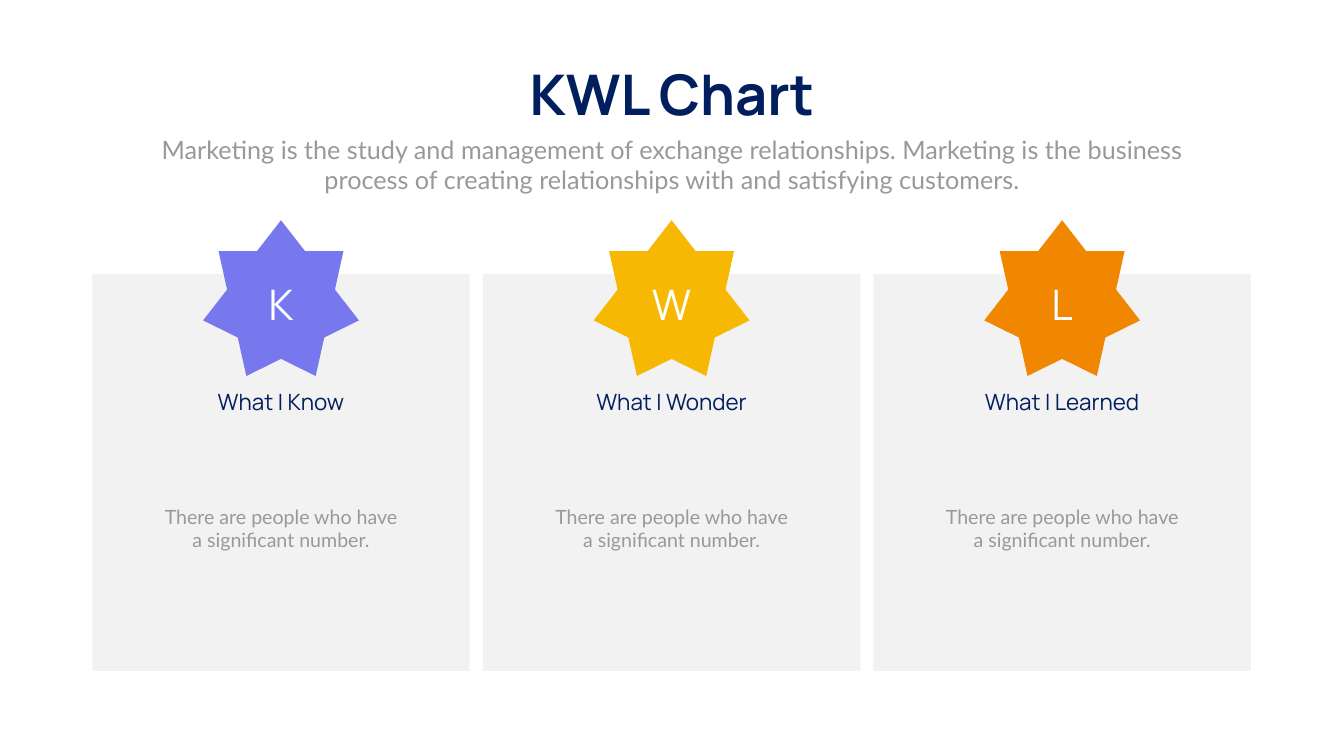
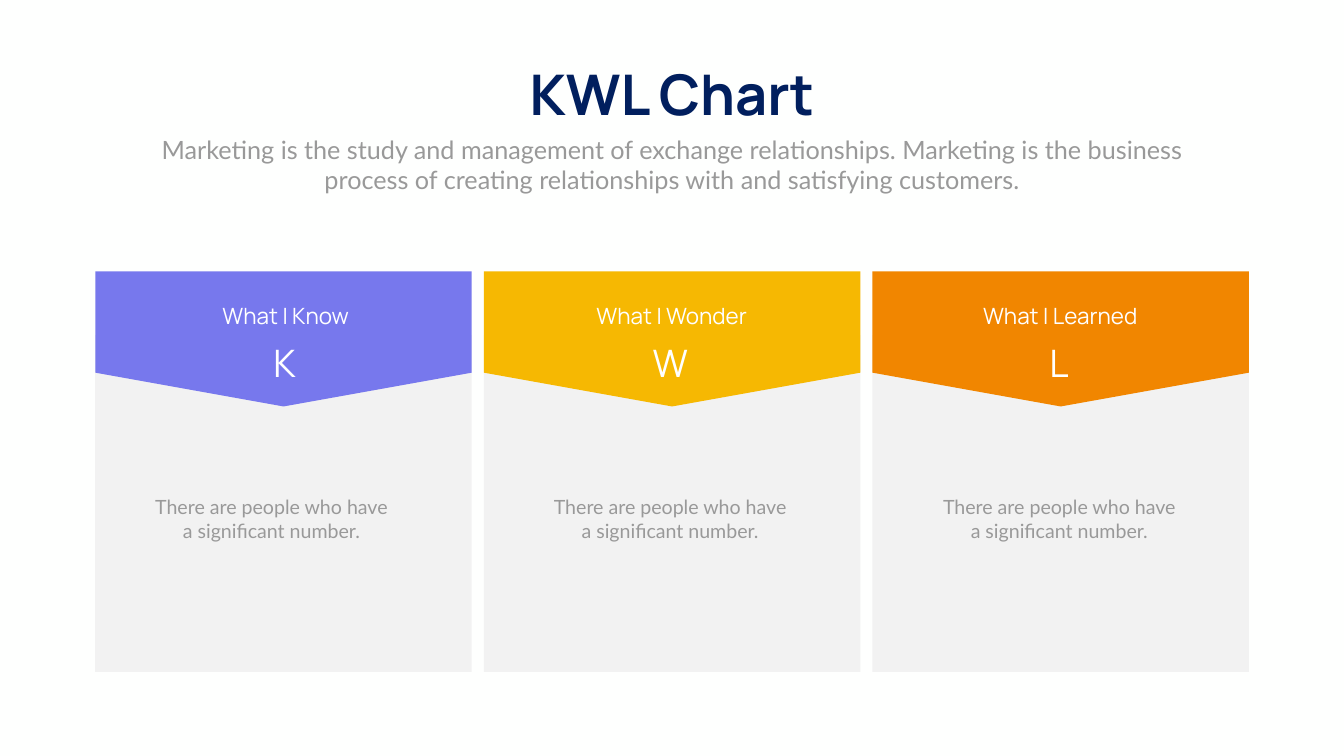
from dataclasses import dataclass

from pptx import Presentation
from pptx.dml.color import RGBColor as Rgb
from pptx.enum.shapes import MSO_SHAPE as Kind
from pptx.enum.text import MSO_ANCHOR as Anchor, PP_ALIGN as Align
from pptx.shapes.autoshape import Shape
from pptx.slide import Slide
from pptx.util import Cm, Pt

# Shared colours and fonts
NAVY = Rgb(0x01, 0x1F, 0x5E)
GREY = Rgb(0x99, 0x99, 0x99)
PALE = Rgb(0xF2, 0xF2, 0xF2)
PAPER = Rgb(0xFE, 0xFF, 0xFE)
WHITE = Rgb(0xFF, 0xFF, 0xFF)
VIOLET = Rgb(0x77, 0x78, 0xED)
YELLOW = Rgb(0xF6, 0xB8, 0x02)
ORANGE = Rgb(0xF1, 0x86, 0x00)
HEAD, BODY = "Manrope", "Lato"

WIDTH, HEIGHT = 67.72, 38.1
TITLE = "KWL Chart"
INTRO = ("Marketing is the study and management of exchange relationships. "
         "Marketing is the business process of creating relationships "
         "with and satisfying customers.")
NOTE = "There are people who have a significant number."


@dataclass(frozen=True)
class Topic:
    letter: str
    label: str
    color: Rgb
    width: float  # label box width, cm


@dataclass(frozen=True)
class Style:
    size: float
    color: Rgb
    font: str = HEAD
    bold: bool = False


@dataclass(frozen=True)
class Grid:
    """Three equal cards in a row, lengths in cm."""
    left: float
    pitch: float
    width: float
    top: float
    height: float

    def mid(self, col: int) -> float:
        return self.left + col * self.pitch + self.width / 2


TOPICS = (
    Topic("K", "What I Know", VIOLET, 9.5),
    Topic("W", "What I Wonder", YELLOW, 12.12),
    Topic("L", "What I Learned", ORANGE, 11.2),
)
NOTE_STYLE = Style(28, GREY, BODY)
STARS = Grid(4.65, 19.68, 19.02, 13.82, 19.99)
FLAGS = Grid(4.8, 19.58, 18.97, 16.89, 16.97)

# Horizontal shifts of the text from the card centres on the flag slide
LABEL_DX = (0.11, -0.02, -0.02)
LETTER_DX = (0.06, -0.09, -0.08)
NOTE_DX = (-0.61, -0.1, -0.07)


def add_form(slide: Slide, kind: Kind, mid: float, top: float,
             width: float, height: float, color: Rgb) -> Shape:
    form = slide.shapes.add_shape(
        kind, Cm(mid - width / 2), Cm(top), Cm(width), Cm(height))
    form.shadow.inherit = False
    form.fill.solid()
    form.fill.fore_color.rgb = color
    form.line.fill.background()
    return form


def add_text(slide: Slide, text: str, mid: float, top: float, width: float,
             height: float, style: Style, wrap: bool = True) -> None:
    box = slide.shapes.add_textbox(
        Cm(mid - width / 2), Cm(top), Cm(width), Cm(height))
    frame = box.text_frame
    frame.word_wrap = wrap
    frame.vertical_anchor = Anchor.MIDDLE
    frame.text = text
    para = frame.paragraphs[0]
    para.alignment = Align.CENTER
    font = para.runs[0].font
    font.size, font.name, font.bold = Pt(style.size), style.font, style.bold
    font.color.rgb = style.color


def add_card(slide: Slide, grid: Grid, col: int) -> None:
    add_form(slide, Kind.RECTANGLE, grid.mid(col), grid.top,
             grid.width, grid.height, PALE)


def add_page(deck: Presentation) -> Slide:
    """Blank slide with the shared background, title and intro."""
    slide = deck.slides.add_slide(deck.slide_layouts[6])
    fill = slide.background.fill
    fill.solid()
    fill.fore_color.rgb = PAPER
    mid = WIDTH / 2
    add_text(slide, TITLE, mid, 2.84, 15.88, 3.68,
             Style(80, NAVY, bold=True), wrap=False)
    add_text(slide, INTRO, mid, 6.63, 52.88, 3.33, Style(36, GREY, BODY))
    return slide


def star_page(deck: Presentation) -> None:
    slide = add_page(deck)
    for col, topic in enumerate(TOPICS):
        mid = STARS.mid(col)
        add_card(slide, STARS, col)
        add_text(slide, topic.label, mid, 19.41, topic.width, 1.63,
                 Style(32, NAVY))
        add_text(slide, NOTE, mid, 25.3, 12.73, 2.64, NOTE_STYLE)
        add_form(slide, Kind.STAR_7_POINT, mid, 11.1, 7.85, 7.85, topic.color)
        add_text(slide, topic.letter, mid, 13.94, 3.4, 2.72, Style(60, WHITE))


def flag_page(deck: Presentation) -> None:
    slide = add_page(deck)
    depth, center = 6.81, 17.08
    for col, topic in enumerate(TOPICS):
        mid = FLAGS.mid(col)
        add_card(slide, FLAGS, col)
        # Pentagon turned to point down across the card
        flag = add_form(slide, Kind.PENTAGON, mid, center - FLAGS.width / 2,
                        depth, FLAGS.width, topic.color)
        flag.adjustments[0] = 0.25
        flag.rotation = 90
        add_text(slide, topic.label, mid + LABEL_DX[col], 15.11,
                 topic.width, 1.63, Style(32, WHITE))
        add_text(slide, topic.letter, mid + LETTER_DX[col], 16.99,
                 4.32, 2.57, Style(54, WHITE))
        add_text(slide, NOTE, mid + NOTE_DX[col], 24.82, 12.73, 2.64,
                 NOTE_STYLE)


def main() -> None:
    deck = Presentation()
    deck.slide_width, deck.slide_height = Cm(WIDTH), Cm(HEIGHT)
    star_page(deck)
    flag_page(deck)
    deck.save("out.pptx")


if __name__ == "__main__":
    main()
